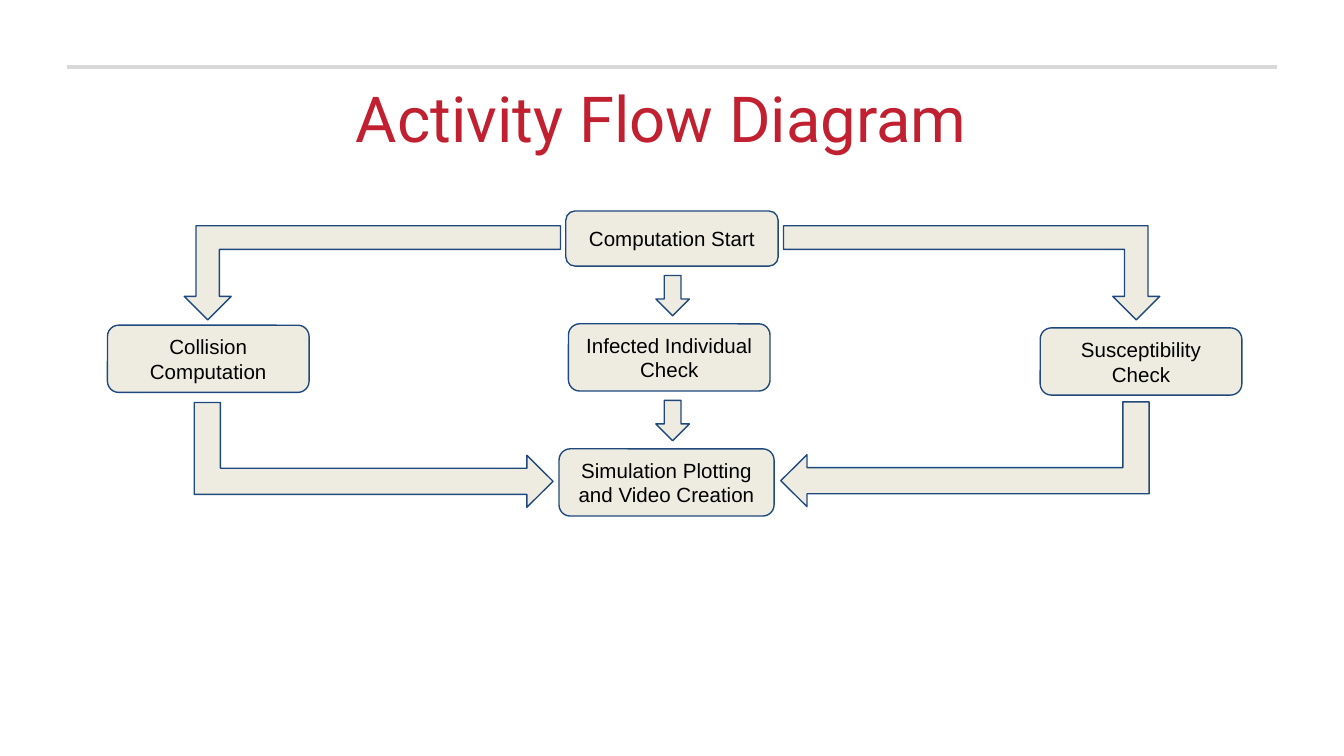
from dataclasses import dataclass

from lxml import etree
from pptx import Presentation
from pptx.dml.color import RGBColor
from pptx.enum.shapes import MSO_CONNECTOR, MSO_SHAPE
from pptx.enum.text import MSO_ANCHOR, PP_ALIGN
from pptx.oxml.ns import qn
from pptx.shapes.autoshape import Shape
from pptx.slide import Slide
from pptx.text.text import TextFrame
from pptx.util import Inches, Pt

STRAIGHT = MSO_CONNECTOR.STRAIGHT
ROUNDED = MSO_SHAPE.ROUNDED_RECTANGLE
DOWN = MSO_SHAPE.DOWN_ARROW
BENT = MSO_SHAPE.BENT_UP_ARROW
MIDDLE = MSO_ANCHOR.MIDDLE
CENTER = PP_ALIGN.CENTER


@dataclass(frozen=True)
class Theme:
    fill: RGBColor = RGBColor(0xEE, 0xEC, 0xE1)
    outline: RGBColor = RGBColor(0x1F, 0x49, 0x7D)
    text: RGBColor = RGBColor(0, 0, 0)
    title: RGBColor = RGBColor(0xC1, 0x20, 0x30)
    rule: RGBColor = RGBColor(0xD9, 0xD9, 0xD9)
    title_font: str = "Roboto"
    body_font: str = "Arial"
    title_size: float = 34
    body_size: float = 11
    outline_width: float = 0.75
    rule_width: float = 2


@dataclass(frozen=True)
class Box:
    left: float
    top: float
    width: float
    height: float


@dataclass(frozen=True)
class Step:
    label: str
    box: Box


@dataclass(frozen=True)
class Arrow:
    kind: MSO_SHAPE
    box: Box
    rotation: int = 0
    mirrored: bool = False
    adjustments: tuple[float, ...] = (0.5, 0.5)


THEME = Theme()
SLIDE_WIDTH = 10
INSET = 0.1
FORK = (0.25, 0.25, 0.25)
JOIN = (0.25, 0.248, 0.25)

STEPS = [
    Step("Computation Start", Box(4.21, 1.57, 1.58, 0.41)),
    Step("Infected Individual Check", Box(4.23, 2.41, 1.5, 0.5)),
    Step("Susceptibility Check", Box(7.74, 2.44, 1.5, 0.5)),
    Step("Collision Computation", Box(0.8, 2.42, 1.5, 0.5)),
    Step("Simulation Plotting and Video Creation", Box(4.16, 3.34, 1.6, 0.5)),
]

ARROWS = [
    Arrow(BENT, Box(1.37, 1.68, 2.8, 0.7), 180, False, FORK),
    Arrow(BENT, Box(5.83, 1.68, 2.8, 0.7), 180, True, FORK),
    Arrow(DOWN, Box(4.88, 2.05, 0.25, 0.3)),
    Arrow(DOWN, Box(4.88, 2.98, 0.25, 0.3)),
    Arrow(BENT, Box(2.39, 2.05, 0.78, 2.67), 90, False, JOIN),
    Arrow(BENT, Box(6.79, 2.01, 0.78, 2.74), 270, True, JOIN),
]


def format_text(frame: TextFrame, font: str, size: float, color: RGBColor) -> None:
    frame.word_wrap = True
    frame.vertical_anchor = MIDDLE
    for paragraph in frame.paragraphs:
        paragraph.alignment = CENTER
        for run in paragraph.runs:
            run.font.name = font
            run.font.size = Pt(size)
            run.font.color.rgb = color


def add_block(slide: Slide, kind: MSO_SHAPE, box: Box) -> Shape:
    block = slide.shapes.add_shape(
        kind, Inches(box.left), Inches(box.top), Inches(box.width), Inches(box.height)
    )
    block.shadow.inherit = False
    block.fill.solid()
    block.fill.fore_color.rgb = THEME.fill
    block.line.color.rgb = THEME.outline
    block.line.width = Pt(THEME.outline_width)
    return block


def add_step(slide: Slide, step: Step) -> None:
    block = add_block(slide, ROUNDED, step.box)
    frame = block.text_frame
    frame.text = step.label
    frame.margin_left = frame.margin_right = Inches(INSET)
    frame.margin_top = frame.margin_bottom = Inches(INSET)
    format_text(frame, THEME.body_font, THEME.body_size, THEME.text)


def add_arrow(slide: Slide, arrow: Arrow) -> None:
    block = add_block(slide, arrow.kind, arrow.box)
    block.rotation = arrow.rotation
    for index, value in enumerate(arrow.adjustments):
        block.adjustments[index] = value
    if arrow.mirrored:
        block.element.spPr.find(qn("a:xfrm")).set("flipH", "1")


def add_rule(slide: Slide, left: float, right: float, top: float) -> None:
    rule = slide.shapes.add_connector(
        STRAIGHT, Inches(left), Inches(top), Inches(right), Inches(top)
    )
    rule.line.color.rgb = THEME.rule
    rule.line.width = Pt(THEME.rule_width)
    etree.SubElement(rule.element.spPr, qn("a:effectLst"))


def set_title(slide: Slide, text: str, box: Box) -> None:
    title = slide.shapes.title
    title.left, title.top = Inches(box.left), Inches(box.top)
    title.width, title.height = Inches(box.width), Inches(box.height)
    title.text_frame.text = text
    format_text(title.text_frame, THEME.title_font, THEME.title_size, THEME.title)


def main() -> None:
    presentation = Presentation()
    presentation.slide_width = Inches(SLIDE_WIDTH)
    presentation.slide_height = Inches(SLIDE_WIDTH * 9 / 16)
    slide = presentation.slides.add_slide(presentation.slide_layouts[5])
    add_rule(slide, 0.5, 9.5, 0.5)
    set_title(slide, "Activity Flow Diagram", Box(0.42, 0.52, 9, 0.7))
    for step in STEPS:
        add_step(slide, step)
    for arrow in ARROWS:
        add_arrow(slide, arrow)
    presentation.save("out.pptx")


if __name__ == "__main__":
    main()
